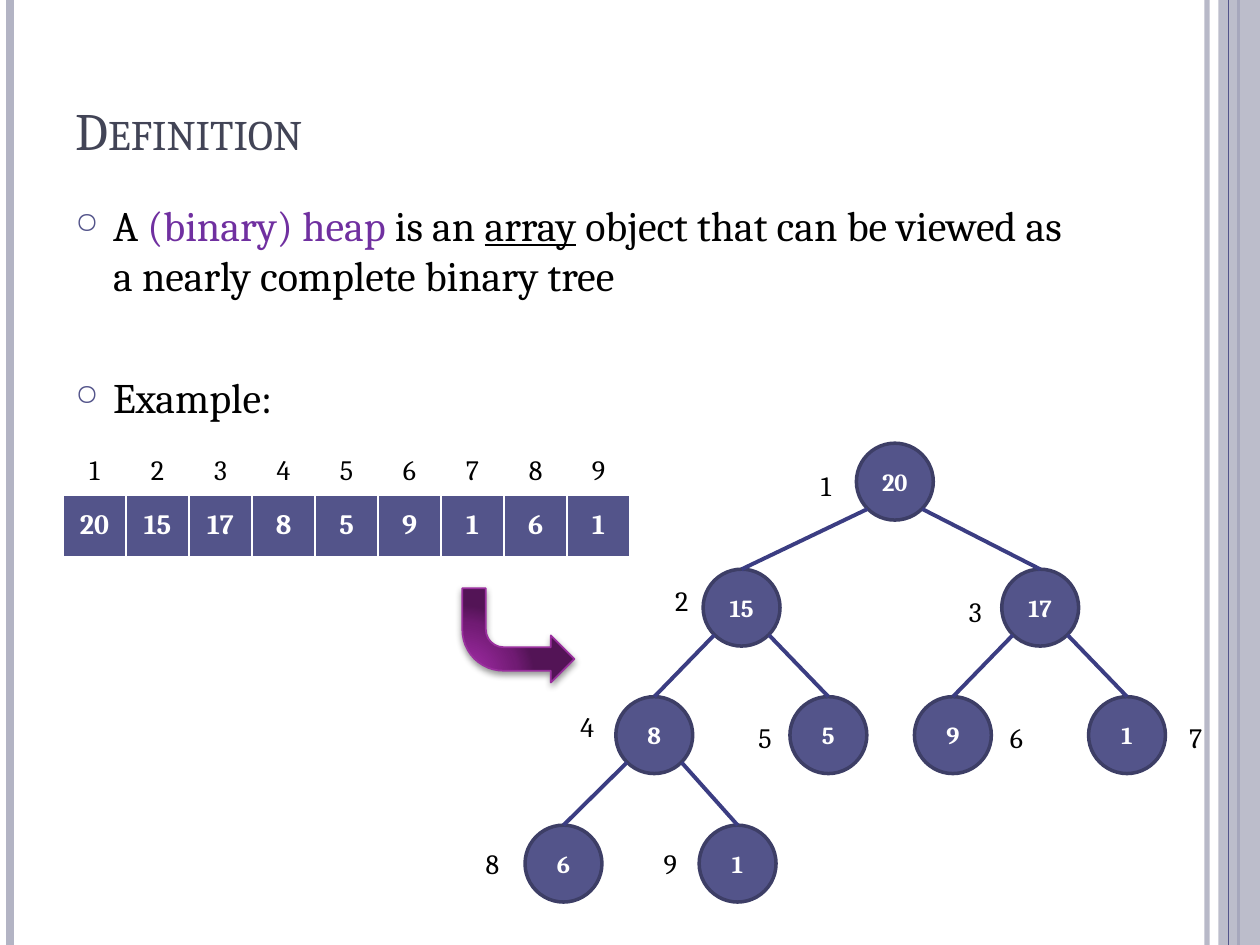
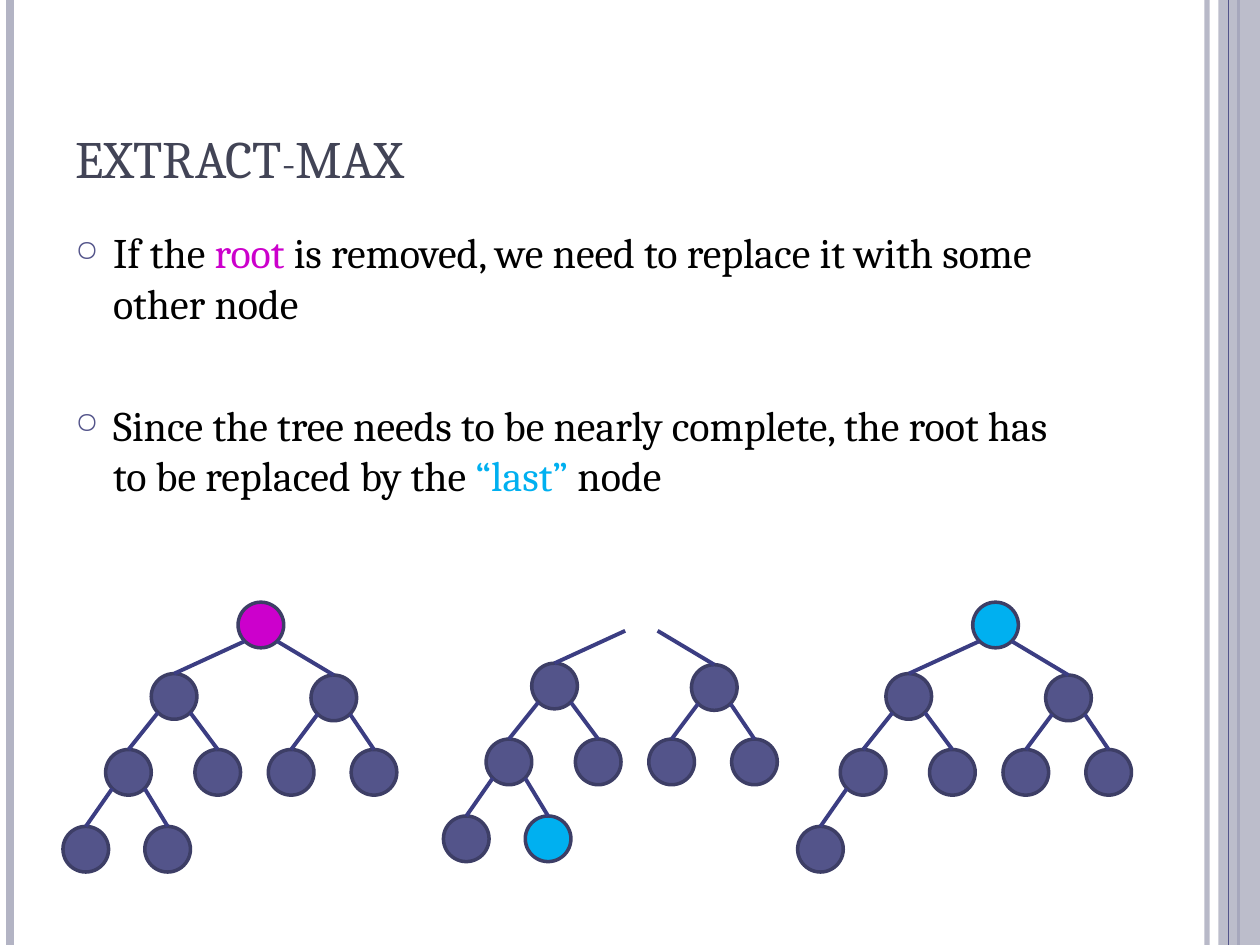
import dataclasses

import lxml.etree
import pptx
import pptx.dml.color
import pptx.enum.shapes
import pptx.enum.text
import pptx.oxml.ns
import pptx.util


@dataclasses.dataclass(frozen=True)
class Theme:
    """Colours, font and type sizes of the deck."""
    font: str = "Cambria"
    ink: str = "000000"
    white: str = "FFFFFF"
    head: str = "424456"
    main: str = "53548A"
    band: str = "B3B4C4"
    rim: str = "3D3E66"
    edge: str = "3B3D82"
    violet: str = "7030A0"
    pink: str = "CC00CC"
    sky: str = "00B0F0"
    plum: str = "9A309E"
    title: int = 30
    body: int = 24
    label: int = 16
    node: int = 14


THEME = Theme()
WIDE, HIGH = 25.4, 19.05
LEFT = 1.27
ALIGN = pptx.enum.text.PP_ALIGN
ANCHOR = pptx.enum.text.MSO_ANCHOR
SHAPE = pptx.enum.shapes.MSO_SHAPE
LINE = pptx.enum.shapes.MSO_CONNECTOR.STRAIGHT
BIG = [(7.45, 0.77), (4.36, 3.31), (10.38, 3.31), (2.6, 5.88), (6.11, 5.88),
       (8.62, 5.88), (12.13, 5.88), (0.77, 8.47), (4.28, 8.47)]
SMALL = [(3.99, 0.46), (2.24, 1.9), (5.46, 1.93), (1.32, 3.43), (3.12, 3.43),
         (4.6, 3.43), (6.27, 3.43), (0.46, 4.98), (2.11, 4.98)]
TAGS = [(-1.74, -0.39), (-1.59, -0.62), (-1.69, -0.39), (-1.74, -0.65), (-1.66, -0.42),
        (0.9, -0.42), (1, -0.42), (-1.82, -0.47), (-1.74, -0.47)]
HEAP = [20, 15, 17, 8, 5, 9, 1, 6, 1]


def cms(*sizes):
    """Turn numbers into centimetre lengths."""
    return [pptx.util.Cm(size) for size in sizes]


def rgb(code):
    """Turn a hex code into a colour."""
    return pptx.dml.color.RGBColor.from_string(code)


def add(parent, tag, **attrs):
    """Append a drawing element with the given attributes."""
    item = lxml.etree.SubElement(parent, pptx.oxml.ns.qn(tag))
    for key, value in attrs.items():
        item.set(key, str(value))
    return item


def fade(shape, share):
    """Make the colours of a shape partly clear."""
    for tint in shape._element.spPr.iter(pptx.oxml.ns.qn("a:srgbClr")):
        add(tint, "a:alpha", val=share * 1000)


def style(para, size, tint, bold=False, align=None):
    """Set the font and alignment of a paragraph."""
    para.alignment = align
    font = para.font
    font.name, font.size, font.bold = THEME.font, pptx.util.Pt(size), bold
    font.color.rgb = rgb(tint)


def stroke(shapes, start, end, tint, width):
    """Draw a straight line between two points."""
    line = shapes.add_connector(LINE, *cms(*start, *end))
    line.line.color.rgb = rgb(tint)
    line.line.width = pptx.util.Pt(width)
    add(line._element.spPr, "a:effectLst")
    return line


def solid(shapes, kind, box, tint, rim=None, width=1):
    """Draw a filled preset shape."""
    shape = shapes.add_shape(kind, *cms(*box))
    shape.shadow.inherit = False
    shape.fill.solid()
    shape.fill.fore_color.rgb = rgb(tint)
    if rim:
        shape.line.color.rgb = rgb(rim)
        shape.line.width = pptx.util.Pt(width)
    else:
        shape.line.fill.background()
    return shape


def frame(slide):
    """Draw the rules and the band at the slide's sides."""
    def rule(x, tint, width):
        return stroke(slide.shapes, (x, 0), (x, HIGH), tint, width)

    fade(rule(24.33, THEME.band, 3), 93)
    rule(0.2, THEME.band, 4.5)
    rule(24.97, THEME.main, 1.5)
    fade(solid(slide.shapes, SHAPE.RECTANGLE, (24.56, 0, 0.84, HIGH), THEME.band), 87)
    rule(24.77, THEME.main, 0.75)


def title(slide, box, text):
    """Write the title in small capitals."""
    area = slide.shapes.add_textbox(*cms(*box)).text_frame
    area.word_wrap = True
    area.vertical_anchor = ANCHOR.BOTTOM
    para = area.paragraphs[0]
    run = para.add_run()
    run.text = text
    run._r.get_or_add_rPr().set("cap", "small")
    style(para, THEME.title, THEME.head)


def bullets(slide, box, points):
    """Write bullet points made of (text, colour, underline) runs."""
    area = slide.shapes.add_textbox(*cms(*box)).text_frame
    area.word_wrap = True
    for rank, point in enumerate(points):
        para = area.add_paragraph() if rank else area.paragraphs[0]
        props = para._p.get_or_add_pPr()
        indent = pptx.util.Cm(0.76)
        props.set("marL", str(indent))
        props.set("indent", str(-indent))
        add(add(props, "a:buClr"), "a:srgbClr", val=THEME.main)
        add(props, "a:buSzPct", val=70000)
        add(props, "a:buChar", char="○")
        style(para, THEME.body, THEME.ink)
        if rank:
            para.space_before = pptx.util.Pt(41)
        for text, tint, under in point:
            run = para.add_run()
            run.text = text
            if tint:
                run.font.color.rgb = rgb(tint)
            if under:
                run.font.underline = True


def page(deck, top, text, high, points):
    """Add a slide with its frame, title and bullet points."""
    slide = deck.slides.add_slide(deck.slide_layouts[6])
    frame(slide)
    title(slide, (LEFT, top, 20.75, 3.18), text)
    bullets(slide, (LEFT, top + 3.69, 20.75, high), points)
    return slide


def border(cell, **widths):
    """Draw white borders of the given widths around a cell."""
    props = cell._tc.get_or_add_tcPr()
    for spot, side in enumerate(("L", "R", "T", "B")):
        width = pptx.util.Pt(widths.get(side, 1))
        line = add(props, f"a:ln{side}", w=width)
        add(add(line, "a:solidFill"), "a:srgbClr", val=THEME.white)
        props.insert(spot, line)


def array(slide, left, top, values):
    """Show the heap as a table with its indices above."""
    count, side = len(values), 1.27
    box = cms(left, top, side * count, side * 2)
    table = slide.shapes.add_table(2, count, *box).table
    table.first_row = table.horz_banding = False
    for col, value in enumerate(values):
        table.columns[col].width = pptx.util.Cm(side)
        index, cell = table.cell(0, col), table.cell(1, col)
        index.text, cell.text = str(col + 1), str(value)
        index.vertical_anchor, cell.vertical_anchor = ANCHOR.BOTTOM, ANCHOR.MIDDLE
        index.fill.background()
        cell.fill.solid()
        cell.fill.fore_color.rgb = rgb(THEME.main)
        border(index, B=3)
        border(cell, T=3)
        style(index.text_frame.paragraphs[0], THEME.label, THEME.ink, False, ALIGN.CENTER)
        style(cell.text_frame.paragraphs[0], THEME.label, THEME.white, True, ALIGN.CENTER)


def tree(slide, left, top, spots, size, tints, values=(), bare=False):
    """Draw a heap in level order; a bare tree lacks its root node."""
    shapes = slide.shapes.add_group_shape().shapes
    spots = [(left + x, top + y) for x, y in spots]
    half, reach = size / 2, size / 2 * 0.71
    for rank, (x, y) in enumerate(spots):
        if bare and not rank:
            continue
        box = (x - half, y - half, size, size)
        node = solid(shapes, SHAPE.OVAL, box, tints.get(rank, THEME.main), THEME.rim, 2)
        if values:
            area = node.text_frame
            area.margin_left = area.margin_right = 0
            area.vertical_anchor = ANCHOR.MIDDLE
            area.text = str(values[rank])
            style(area.paragraphs[0], THEME.node, THEME.white, True, ALIGN.CENTER)
        if rank:
            px, py = spots[(rank - 1) // 2]
            side = -reach if rank % 2 else reach
            line = stroke(shapes, (px + side, py + reach), (x, y - half), THEME.edge, 2.25)
            line.end_connect(node, 0)
    return shapes


def tags(shapes, left, top, spots, shifts):
    """Write the index beside each node."""
    for rank, ((x, y), (dx, dy)) in enumerate(zip(spots, shifts), 1):
        box = cms(left + x + dx, top + y + dy, 0.84, 0.94)
        area = shapes.add_textbox(*box).text_frame
        area.word_wrap = False
        area.text = str(rank)
        style(area.paragraphs[0], THEME.label, THEME.ink)


def arrow(slide, box):
    """Draw the bent arrow from the array to the tree."""
    shape = solid(slide.shapes, SHAPE.BENT_ARROW, box, THEME.plum, THEME.plum)
    props = shape._element.spPr
    props.find(pptx.oxml.ns.qn("a:xfrm")).set("flipV", "1")
    flat = props.find(pptx.oxml.ns.qn("a:solidFill"))
    blend = add(props, "a:gradFill", rotWithShape=1)
    props.replace(flat, blend)
    stops = add(blend, "a:gsLst")
    for place, tint in ((0, "98289C"), (30, "932797"), (75, "711B74"), (100, "531456")):
        add(add(stops, "a:gs", pos=place * 1000), "a:srgbClr", val=tint)
    add(add(blend, "a:path", path="circle"), "a:fillToRect", l=5000, t=100000, r=120000, b=10000)
    shade = add(props.find(pptx.oxml.ns.qn("a:effectLst")), "a:outerShdw",
                blurRad=pptx.util.Pt(4), dist=pptx.util.Pt(1.6), dir=5400000, rotWithShape=0)
    add(add(shade, "a:srgbClr", val=THEME.ink), "a:alpha", val=42000)


def define(deck):
    """Build the slide that defines a heap."""
    slide = page(deck, 0.2, "Definition", 4.88, [
        [("A ", None, False), ("(binary) heap ", THEME.violet, False), ("is an ", None, False),
         ("array", None, True),
         (" object that can be viewed as a nearly complete binary tree", None, False)],
        [("Example:", None, False)]])
    array(slide, LEFT, 8.69, HEAP)
    left, top = 10.59, 8.94
    shapes = tree(slide, left, top, BIG, 1.55, {}, HEAP)
    tags(shapes, left, top, BIG, TAGS)
    arrow(slide, (9.32, 11.86, 2.26, 1.9))


def extract(deck):
    """Build the slide on removing the root."""
    slide = page(deck, 0.76, "EXTRACT-MAX", 13.54, [
        [("If the ", None, False), ("root", THEME.pink, False),
         (" is removed, we need to replace it with some other node", None, False)],
        [("Since the tree needs to be nearly complete, the root has to be replaced by the ",
          None, False), ("“last” ", THEME.sky, False), ("node", None, False)]])
    size, top = 0.92, 12.14
    tree(slide, LEFT, top, SMALL, size, {0: THEME.pink})
    tree(slide, 8.94, top - 0.21, SMALL, size, {8: THEME.sky}, bare=True)
    tree(slide, 16.08, top, SMALL[:-1], size, {0: THEME.sky})


def main():
    """Build and save the deck."""
    deck = pptx.Presentation()
    deck.slide_width, deck.slide_height = cms(WIDE, HIGH)
    define(deck)
    extract(deck)
    deck.save("out.pptx")


if __name__ == "__main__":
    main()
